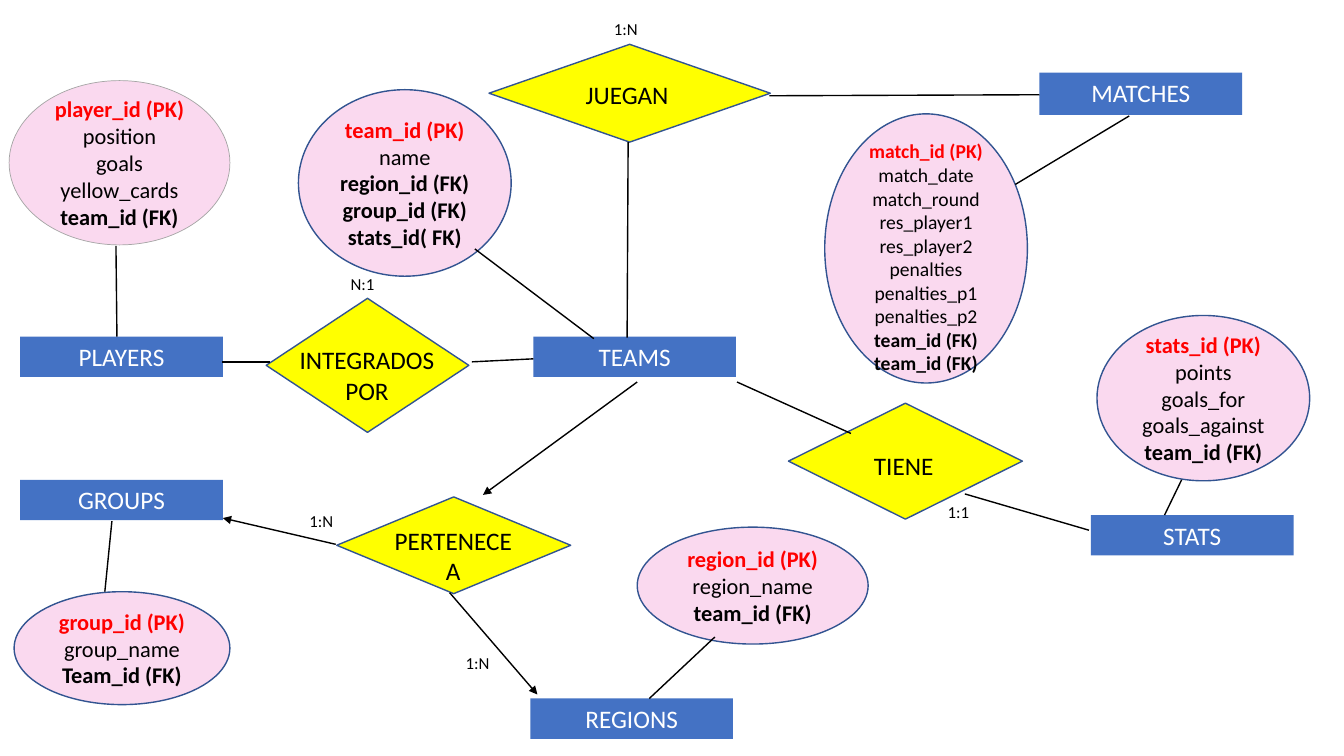
"""Entity-relationship diagram of a football tournament database."""
from lxml import etree
from pptx import Presentation, util as u
from pptx.dml.color import RGBColor
from pptx.enum import shapes, text
from pptx.oxml.ns import qn


def color(value):
    return RGBColor.from_string(value)


def write(frame, lines, size, ink="000000", align=text.PP_ALIGN.CENTER):
    frame.word_wrap = True
    for index, line in enumerate(lines):
        paragraph = frame.paragraphs[0] if index == 0 else frame.add_paragraph()
        paragraph.alignment = align
        run = paragraph.add_run()
        run.text = line
        run.font.name = "Calibri"
        run.font.size = u.Pt(size)
        run.font.bold = "(PK)" in line or "FK)" in line
        run.font.color.rgb = color("FF0000" if "(PK)" in line else ink)


deck = Presentation()
deck.slide_width, deck.slide_height = u.Inches(13.33), u.Inches(7.5)
slide = deck.slides.add_slide(deck.slide_layouts[6])
canvas = slide.shapes

entities = [
    ("PLAYERS", 0.2, 3.34, 0.4),
    ("TEAMS", 5.29, 3.34, 0.4),
    ("MATCHES", 10.31, 0.72, 0.42),
    ("STATS", 10.82, 5.11, 0.4),
    ("GROUPS", 0.2, 4.76, 0.4),
    ("REGIONS", 5.26, 6.93, 0.4),
]
for name, left, top, height in entities:
    entity = canvas.add_shape(shapes.MSO_SHAPE.RECTANGLE, u.Inches(left), u.Inches(top),
                              u.Inches(2.01), u.Inches(height))
    entity.shadow.inherit = False
    entity.fill.solid()
    entity.fill.fore_color.rgb = color("4472C4")
    entity.line.fill.background()
    entity.text_frame.vertical_anchor = text.MSO_ANCHOR.TOP
    write(entity.text_frame, [name], 18, "FFFFFF")

attribute_sets = [
    ((0.09, 0.8, 2.19, 1.63), 16, "A5A5A5", 0.5,
     ["player_id (PK)", "position", "goals", "yellow_cards", "team_id (FK)"]),
    ((2.96, 0.89, 2.11, 1.85), 16, "325491", 1,
     ["team_id (PK)", "name", "region_id (FK)", "group_id (FK)", "stats_id( FK)"]),
    ((8.18, 1.13, 2.01, 2.67), 14, "325491", 1,
     ["match_id (PK)", "match_date", "match_round", "res_player1", "res_player2",
      "penalties", "penalties_p1", "penalties_p2", "team_id (FK)", "team_id (FK)"]),
    ((10.88, 3.13, 2.11, 1.64), 16, "325491", 1,
     ["stats_id (PK)", "points", "goals_for", "goals_against", "team_id (FK)"]),
    ((0.14, 5.87, 2.14, 1.12), 16, "325491", 1,
     ["group_id (PK)", "group_name", "Team_id (FK)"]),
    ((6.32, 5.23, 2.29, 1.16), 16, "325491", 1,
     ["region_id (PK)", "region_name", "team_id (FK)"]),
]
for box, size, outline, weight, fields in attribute_sets:
    attributes = canvas.add_shape(shapes.MSO_SHAPE.OVAL, *map(u.Inches, box))
    attributes.shadow.inherit = False
    attributes.fill.solid()
    attributes.fill.fore_color.rgb = color("FAD9EF")
    attributes.line.color.rgb = color(outline)
    attributes.line.width = u.Pt(weight)
    attributes.text_frame.vertical_anchor = text.MSO_ANCHOR.MIDDLE
    if fields[0] == "match_id (PK)":
        attributes.text_frame.margin_top = u.Inches(0.22)
    write(attributes.text_frame, fields, size)

relationships = [
    ((4.85, 0.44, 2.79, 0.97), (5.71, 0.74, 1.06, 0.4), ["JUEGAN"]),
    ((2.64, 2.96, 2.01, 1.33), (2.14, 3.37, 3, 0.71), ["INTEGRADOS", "POR"]),
    ((3.34, 4.93, 2.32, 0.96), (3.75, 5.16, 1.49, 0.56), ["PERTENECE", "A"]),
    ((7.82, 4, 2.32, 1.15), (8.57, 4.42, 0.9, 0.4), ["TIENE"]),
]
for box, label_box, words in relationships:
    relationship = canvas.add_shape(shapes.MSO_SHAPE.FLOWCHART_DECISION, *map(u.Inches, box))
    relationship.shadow.inherit = False
    relationship.fill.solid()
    relationship.fill.fore_color.rgb = color("FFFF00")
    relationship.line.color.rgb = color("325491")
    relationship.line.width = u.Pt(1)
    label = canvas.add_textbox(*map(u.Inches, label_box))
    align = text.PP_ALIGN.CENTER if len(words) > 1 else text.PP_ALIGN.LEFT
    write(label.text_frame, words, 18, align=align)

cardinalities = [("1:N", 5.99, 0.14), ("1:1", 9.3, 4.93), ("N:1", 3.38, 2.67),
                 ("1:N", 2.97, 5.02), ("1:N", 4.52, 6.43)]
for ratio, left, top in cardinalities:
    cardinality = canvas.add_textbox(u.Inches(left), u.Inches(top), u.Inches(0.5), u.Inches(0.3))
    write(cardinality.text_frame, [ratio], 12, align=text.PP_ALIGN.LEFT)

links = [
    (6.22, 3.35, 6.23, 1.41, False),
    (7.63, 0.95, 10.31, 0.94, False),
    (4.68, 3.59, 5.29, 3.56, False),
    (2.68, 3.59, 2.2, 3.59, False),
    (7.31, 3.79, 8.44, 4.3, False),
    (9.57, 4.9, 10.8, 5.26, False),
    (6.32, 3.79, 4.79, 4.91, True),
    (3.33, 5.4, 2.21, 5.14, True),
    (4.46, 5.88, 5.33, 6.89, True),
    (1.15, 2.44, 1.16, 3.34, False),
    (4.71, 2.47, 5.89, 3.36, False),
    (10.07, 1.83, 11.2, 1.15, False),
    (11.55, 5.11, 11.72, 4.76, False),
    (1.11, 5.17, 1.04, 5.87, False),
    (6.44, 6.93, 7.09, 6.32, False),
]
for *ends, has_arrow in links:
    link = canvas.add_connector(shapes.MSO_CONNECTOR.STRAIGHT, *map(u.Inches, ends))
    link.line.color.rgb = color("000000")
    link.line.width = u.Pt(1)
    if has_arrow:
        etree.SubElement(link.line._get_or_add_ln(), qn("a:tailEnd"), type="triangle")
    etree.SubElement(link._element.spPr, qn("a:effectLst"))

deck.save("out.pptx")
